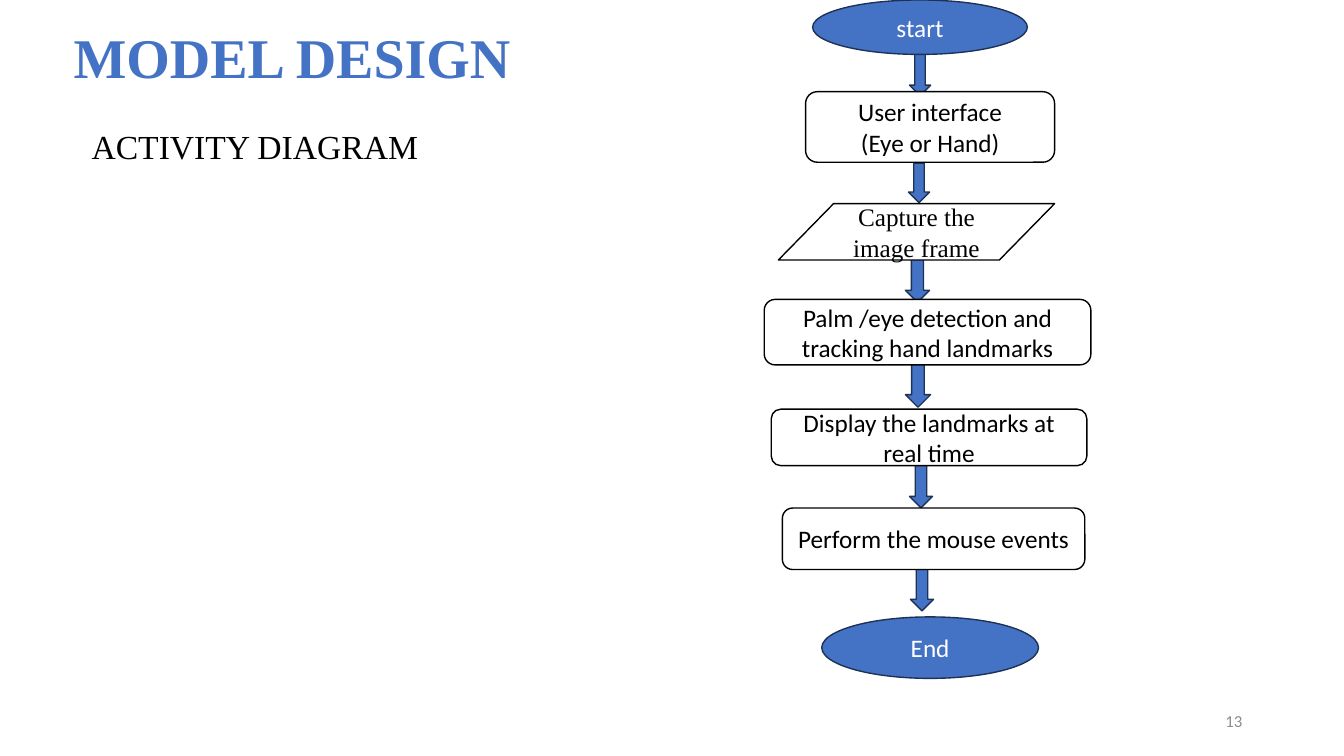
from pptx import Presentation
from pptx.dml.color import RGBColor
from pptx.enum.shapes import MSO_SHAPE as Shape
from pptx.enum.text import MSO_ANCHOR as Anchor, MSO_AUTO_SIZE as AutoSize, PP_ALIGN as Align
from pptx.util import Inches, Pt

BLUE, DARK_BLUE, WHITE, BLACK, GRAY = "4472C4", "1E3256", "FFFFFF", "000000", "8C8C8C"
SERIF, SANS = "Times New Roman", "Calibri"

# Offsets from the flowchart's corner: kind, text, font, left, top, width, height
STEPS = [
    (Shape.OVAL, "start", SANS, 0.48, 0, 2.13, 0.54),
    (Shape.ROUNDED_RECTANGLE, "User interface\n(Eye or Hand)", SANS, 0.41, 0.91, 2.47, 0.7),
    (Shape.FLOWCHART_DATA, "Capture the image frame", SERIF, 0.14, 2.02, 2.74, 0.56),
    (Shape.ROUNDED_RECTANGLE, "Palm /eye detection and tracking hand landmarks", SANS,
     0, 2.97, 3.24, 0.65),
    (Shape.ROUNDED_RECTANGLE, "Display the landmarks at real time", SANS, 0.07, 4.06, 3.13, 0.56),
    (Shape.ROUNDED_RECTANGLE, "Perform the mouse events", SANS, 0.18, 5.04, 3, 0.61),
    (Shape.OVAL, "End", SANS, 0.57, 6.12, 2.15, 0.61),
]
# Offsets from the flowchart's corner: left, top, width, height
ARROWS = [
    (1.44, 0.53, 0.21, 0.42),
    (1.43, 1.62, 0.21, 0.39),
    (1.4, 2.44, 0.24, 0.56),
    (1.4, 3.49, 0.25, 0.55),
    (1.44, 4.48, 0.23, 0.56),
    (1.45, 5.52, 0.23, 0.54),
]


def color(hex_code):
    return RGBColor.from_string(hex_code)


def write(shape, text, font=SANS, size=18, fill=BLACK, bold=False,
          align=Align.CENTER, anchor=Anchor.MIDDLE, spacing=1.0):
    """Fill a shape with text, one paragraph per line."""
    frame = shape.text_frame
    frame.text = text
    frame.word_wrap = True
    frame.auto_size = AutoSize.NONE
    frame.vertical_anchor = anchor
    for paragraph in frame.paragraphs:
        paragraph.alignment = align
        paragraph.line_spacing = spacing
        for run in paragraph.runs:
            run.font.name = font
            run.font.size = Pt(size)
            run.font.bold = bold
            run.font.color.rgb = color(fill)


def add_block(slide, kind, box, fill, line):
    shape = slide.shapes.add_shape(kind, *map(Inches, box))
    shape.shadow.inherit = False
    shape.fill.solid()
    shape.fill.fore_color.rgb = color(fill)
    shape.line.color.rgb = color(line)
    shape.line.width = Pt(1)
    return shape


def add_label(slide, box, text, **text_format):
    write(slide.shapes.add_textbox(*map(Inches, box)), text, **text_format)


def place_title(slide, box, text):
    title = slide.shapes.title
    title.left, title.top, title.width, title.height = map(Inches, box)
    write(title, text, font=SERIF, size=40, fill=BLUE, bold=True,
          align=Align.JUSTIFY, anchor=Anchor.BOTTOM, spacing=0.9)


def add_flowchart(slide, left, top):
    for x, y, width, height in ARROWS:
        add_block(slide, Shape.DOWN_ARROW, (left + x, top + y, width, height), BLUE, DARK_BLUE)
    for kind, text, font, x, y, width, height in STEPS:
        is_terminal = kind == Shape.OVAL
        fill, line, ink = (BLUE, DARK_BLUE, WHITE) if is_terminal else (WHITE, BLACK, BLACK)
        step = add_block(slide, kind, (left + x, top + y, width, height), fill, line)
        write(step, text, font=font, fill=ink)


def main():
    presentation = Presentation()
    presentation.slide_width, presentation.slide_height = Inches(13.33), Inches(7.5)
    slide = presentation.slides.add_slide(presentation.slide_layouts[5])
    place_title(slide, (0.63, 0.08, 10.18, 0.87), "MODEL DESIGN")
    add_label(slide, (0.81, 1.2, 6.55, 0.5), "ACTIVITY DIAGRAM", font=SERIF, size=24,
              align=Align.LEFT, anchor=Anchor.TOP)
    add_flowchart(slide, 7.58, 0)
    add_label(slide, (9.42, 6.95, 3, 0.4), "13", size=12, fill=GRAY, align=Align.RIGHT)
    presentation.save("out.pptx")


if __name__ == "__main__":
    main()
